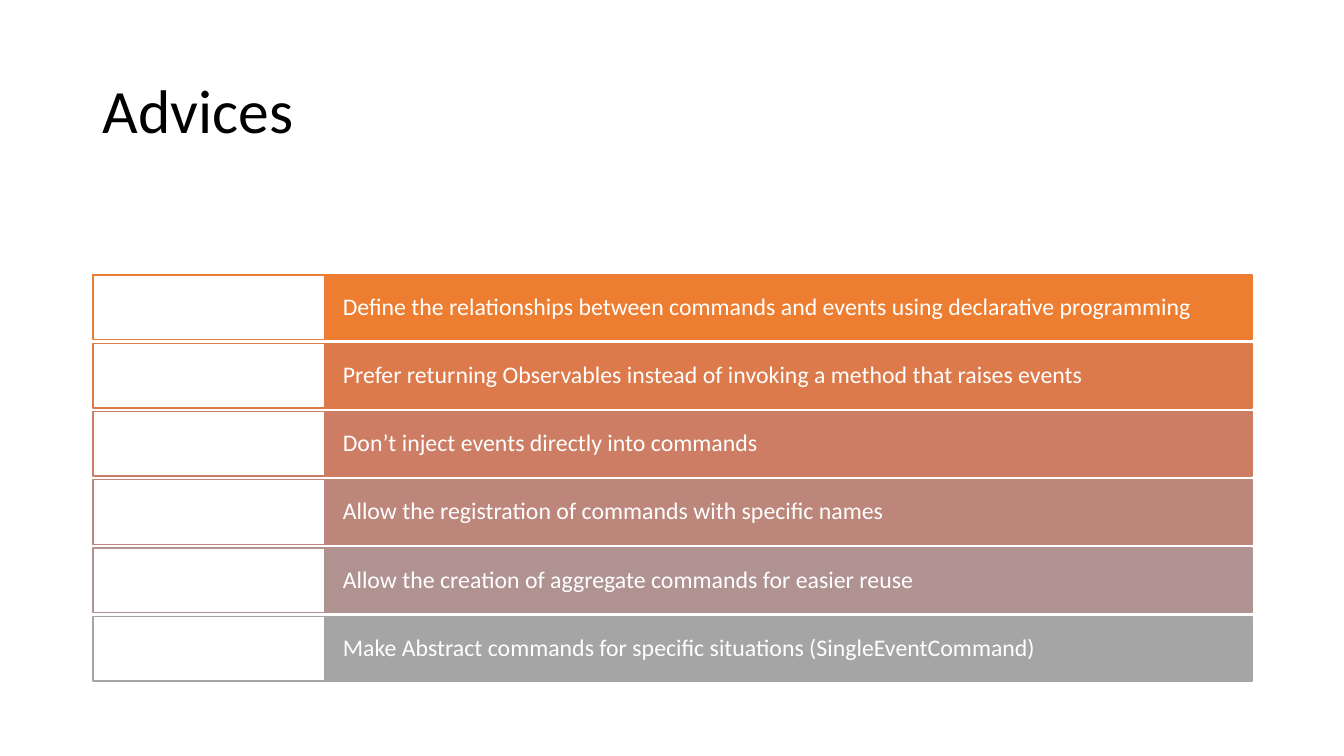
from pptx import Presentation
from pptx.dml.color import RGBColor
from pptx.enum.shapes import MSO_SHAPE
from pptx.enum.text import MSO_ANCHOR, PP_ALIGN
from pptx.util import Cm, Pt

COLORS = {
    "background": "FFFFFF",
    "title": "000000",
    "advice": "FFFFFF",
    "panel": "FFFFFF",
}
FONT = "Calibri"

ADVICES = [
    ("Define the relationships between commands and events using declarative programming", "ED7D31"),
    ("Prefer returning Observables instead of invoking a method that raises events", "DC7A4B"),
    ("Don’t inject events directly into commands", "CC7D64"),
    ("Allow the registration of commands with specific names", "BD867B"),
    ("Allow the creation of aggregate commands for easier reuse", "B09391"),
    ("Make Abstract commands for specific situations (SingleEventCommand)", "A5A5A5"),
]

# Lengths in centimetres
LEFT = 2.34
PANEL_WIDTH = 5.84
BAR_WIDTH = 23.37
ROW_TOP = 6.93
ROW_HEIGHT = 1.63
ROW_PITCH = 1.72


def write(shape, text, size, color, inset_x, inset_y):
    """Set one left-aligned, vertically centred paragraph in the shape."""
    frame = shape.text_frame
    frame.word_wrap = True
    frame.vertical_anchor = MSO_ANCHOR.MIDDLE
    frame.margin_left = frame.margin_right = Cm(inset_x)
    frame.margin_top = frame.margin_bottom = Cm(inset_y)
    frame.text = text
    paragraph = frame.paragraphs[0]
    paragraph.alignment = PP_ALIGN.LEFT
    paragraph.line_spacing = 0.9
    font = paragraph.runs[0].font
    font.name = FONT
    font.size = Pt(size)
    font.color.rgb = RGBColor.from_string(color)


def add_box(slide, left, top, width, fill, outline):
    box = slide.shapes.add_shape(
        MSO_SHAPE.RECTANGLE, Cm(left), Cm(top), Cm(width), Cm(ROW_HEIGHT))
    box.shadow.inherit = False
    box.fill.solid()
    box.fill.fore_color.rgb = RGBColor.from_string(fill)
    box.line.color.rgb = RGBColor.from_string(outline)
    box.line.width = Pt(1)
    return box


def add_title(slide, text):
    title = slide.shapes.add_textbox(Cm(LEFT), Cm(1.01), Cm(29.21), Cm(3.68))
    write(title, text, 44, COLORS["title"], 0.25, 0.13)


def add_advice(slide, row, text, color):
    """Add a coloured bar with the advice and an empty panel on its left."""
    top = ROW_TOP + row * ROW_PITCH
    bar = add_box(slide, LEFT + PANEL_WIDTH, top, BAR_WIDTH, color, color)
    write(bar, text, 17, COLORS["advice"], 0.46, 0.41)
    add_box(slide, LEFT, top, PANEL_WIDTH, COLORS["panel"], color)


def main():
    deck = Presentation()
    deck.slide_width = Cm(33.87)
    deck.slide_height = Cm(19.05)
    slide = deck.slides.add_slide(deck.slide_layouts[6])
    slide.background.fill.solid()
    slide.background.fill.fore_color.rgb = RGBColor.from_string(COLORS["background"])

    add_title(slide, "Advices")
    for row, (text, color) in enumerate(ADVICES):
        add_advice(slide, row, text, color)

    deck.save("out.pptx")


if __name__ == "__main__":
    main()
